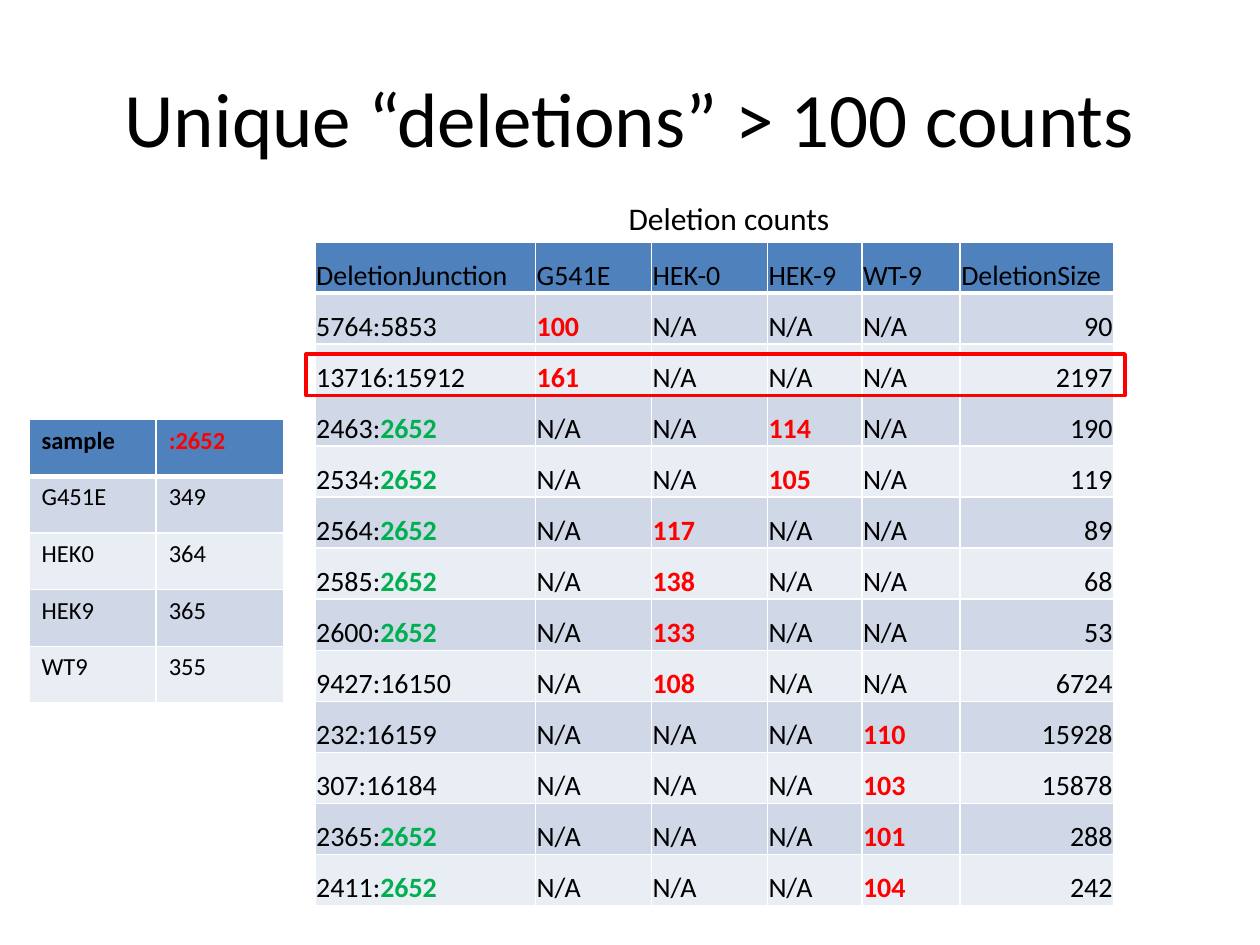
from dataclasses import dataclass

from lxml import etree
from pptx import Presentation
from pptx import util as u
from pptx.dml.color import RGBColor
from pptx.enum import shapes, text
from pptx.oxml.ns import qn

BLACK, WHITE, RED, GREEN = "000000", "FFFFFF", "FF0000", "00B050"
HEADER_FILL, BAND_FILLS = "4F81BD", ("D0D8E8", "E9EDF4")
SAMPLES = ["G541E", "HEK-0", "HEK-9", "WT-9"]
SHARED_END = "2652"


@dataclass
class Run:
    text: str
    color: str = BLACK
    bold: bool = False


@dataclass
class Cell:
    runs: list[Run]
    align: text.PP_ALIGN = text.PP_ALIGN.LEFT


@dataclass
class Deletion:
    junction: str
    sample: str
    count: int
    size: int

    def cells(self) -> list[Cell]:
        start, end = self.junction.split(":")
        if end == SHARED_END:
            junction = [Run(f"{start}:"), Run(end, GREEN, True)]
        else:
            junction = [Run(self.junction)]
        counts = [Cell([Run(str(self.count), RED, True) if name == self.sample else Run("N/A")])
                  for name in SAMPLES]
        return [Cell(junction), *counts, Cell([Run(str(self.size))], text.PP_ALIGN.RIGHT)]


@dataclass
class TableLayout:
    left: float
    top: float
    column_widths: list[float]
    height: float
    font_size: int
    cell_format: dict


DELETIONS = [
    Deletion("5764:5853", "G541E", 100, 90),
    Deletion("13716:15912", "G541E", 161, 2197),
    Deletion("2463:2652", "HEK-9", 114, 190),
    Deletion("2534:2652", "HEK-9", 105, 119),
    Deletion("2564:2652", "HEK-0", 117, 89),
    Deletion("2585:2652", "HEK-0", 138, 68),
    Deletion("2600:2652", "HEK-0", 133, 53),
    Deletion("9427:16150", "HEK-0", 108, 6724),
    Deletion("232:16159", "WT-9", 110, 15928),
    Deletion("307:16184", "WT-9", 103, 15878),
    Deletion("2365:2652", "WT-9", 101, 288),
    Deletion("2411:2652", "WT-9", 104, 242),
]
SAMPLE_TOTALS = {"G451E": 349, "HEK0": 364, "HEK9": 365, "WT9": 355}

DELETION_LAYOUT = TableLayout(
    2.5, 1.92, [1.75, 0.92, 0.92, 0.75, 0.78, 1.22], 5.27, 16,
    {"vertical_anchor": text.MSO_ANCHOR.BOTTOM, "margin_left": u.Inches(0.01),
     "margin_top": u.Inches(0.01), "margin_right": u.Inches(0.01), "margin_bottom": 0})
SAMPLE_LAYOUT = TableLayout(
    0.23, 3.33, [1.01, 1.01], 2.25, 14, {"vertical_anchor": text.MSO_ANCHOR.TOP})


def rgb(color: str) -> RGBColor:
    return RGBColor.from_string(color)


def apply_format(target, values: dict) -> None:
    for name, value in values.items():
        setattr(target, name, value)


def write_runs(paragraph, runs: list[Run], size: int) -> None:
    for item in runs:
        run = paragraph.add_run()
        run.text = item.text
        apply_format(run.font, {"name": "Calibri", "size": u.Pt(size), "bold": item.bold})
        run.font.color.rgb = rgb(item.color)


def add_borders(cell, bottom: int) -> None:
    properties = cell._tc.get_or_add_tcPr()
    widths = {"a:lnL": 1, "a:lnR": 1, "a:lnT": 1, "a:lnB": bottom}
    for position, (tag, width) in enumerate(widths.items()):
        line = etree.Element(qn(tag), w=str(u.Pt(width)))
        fill = etree.SubElement(line, qn("a:solidFill"))
        etree.SubElement(fill, qn("a:srgbClr"), val=WHITE)
        properties.insert(position, line)


def add_banded_table(slide, layout: TableLayout, rows: list[list[Cell]]) -> None:
    frame = slide.shapes.add_table(
        len(rows), len(layout.column_widths), u.Inches(layout.left), u.Inches(layout.top),
        u.Inches(sum(layout.column_widths)), u.Inches(layout.height))
    table = frame.table
    for column, width in zip(table.columns, layout.column_widths):
        column.width = u.Inches(width)
    for row_index, row in enumerate(rows):
        header = row_index == 0
        table.rows[row_index].height = u.Inches(layout.height / len(rows))
        for column_index, content in enumerate(row):
            cell = table.cell(row_index, column_index)
            apply_format(cell, layout.cell_format)
            cell.fill.solid()
            cell.fill.fore_color.rgb = rgb(HEADER_FILL if header else BAND_FILLS[(row_index - 1) % 2])
            # The header and the first body row share a thick edge
            add_borders(cell, bottom=3 if header else 1)
            paragraph = cell.text_frame.paragraphs[0]
            paragraph.alignment = content.align
            write_runs(paragraph, content.runs, layout.font_size)


def main() -> None:
    presentation = Presentation()
    apply_format(presentation, {"slide_width": u.Inches(10), "slide_height": u.Inches(7.5)})
    slide = presentation.slides.add_slide(presentation.slide_layouts[5])

    # Title
    title = slide.shapes.title
    apply_format(title, {"left": u.Inches(0.5), "top": u.Inches(0.3),
                         "width": u.Inches(9), "height": u.Inches(1.25)})
    title.text_frame.vertical_anchor = text.MSO_ANCHOR.MIDDLE
    paragraph = title.text_frame.paragraphs[0]
    paragraph.alignment = text.PP_ALIGN.CENTER
    write_runs(paragraph, [Run("Unique “deletions” > 100 counts")], 44)

    # Deletion counts per sample
    headings = ["DeletionJunction", *SAMPLES, "DeletionSize"]
    deletion_rows = [[Cell([Run(heading)]) for heading in headings]]
    deletion_rows += [deletion.cells() for deletion in DELETIONS]
    add_banded_table(slide, DELETION_LAYOUT, deletion_rows)

    # Totals for the shared end point
    sample_rows = [[Cell([Run("sample", bold=True)]), Cell([Run(f":{SHARED_END}", RED, True)])]]
    sample_rows += [[Cell([Run(name)]), Cell([Run(str(total))])]
                    for name, total in SAMPLE_TOTALS.items()]
    add_banded_table(slide, SAMPLE_LAYOUT, sample_rows)

    # Table caption
    caption = slide.shapes.add_textbox(u.Inches(4.89), u.Inches(1.53), u.Inches(1.82), u.Inches(0.4))
    apply_format(caption.text_frame, {"word_wrap": False,
                                      "auto_size": text.MSO_AUTO_SIZE.SHAPE_TO_FIT_TEXT})
    write_runs(caption.text_frame.paragraphs[0], [Run("Deletion counts")], 18)

    # Highlighted row
    highlight = slide.shapes.add_shape(shapes.MSO_SHAPE.RECTANGLE, u.Inches(2.43), u.Inches(2.81),
                                       u.Inches(6.5), u.Inches(0.33))
    highlight.shadow.inherit = False
    highlight.fill.background()
    highlight.line.color.rgb = rgb(RED)
    highlight.line.width = u.Pt(2)

    presentation.save("out.pptx")


if __name__ == "__main__":
    main()
